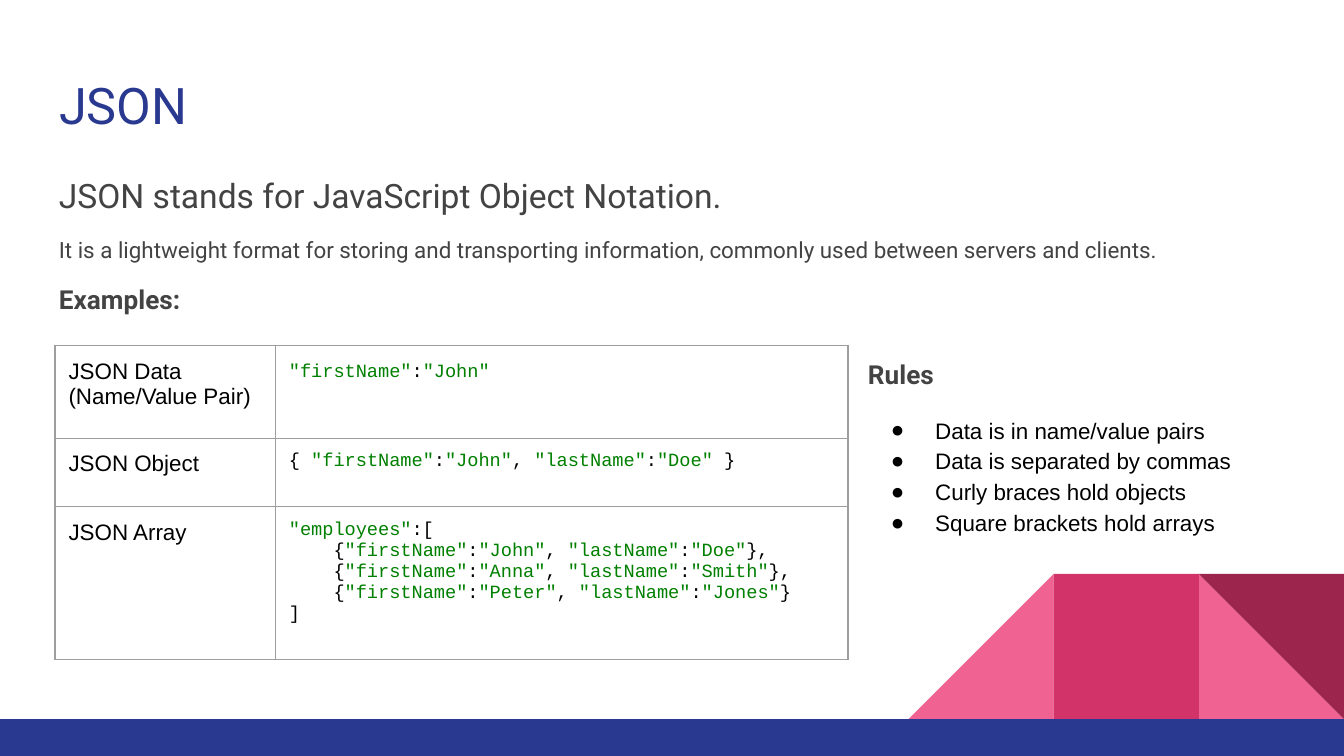
from lxml.etree import SubElement
from pptx import Presentation
from pptx.dml.color import RGBColor
from pptx.enum.shapes import MSO_SHAPE
from pptx.enum.text import MSO_ANCHOR, MSO_AUTO_SIZE, PP_ALIGN
from pptx.oxml import parse_xml
from pptx.oxml.ns import nsdecls, qn
from pptx.util import Inches, Pt

NAVY = RGBColor(0x2A, 0x39, 0x90)
PINK = RGBColor(0xF0, 0x62, 0x92)
ROSE = RGBColor(0xD2, 0x33, 0x69)
WINE = RGBColor(0x9C, 0x25, 0x4D)
GRAY = RGBColor(0x43, 0x43, 0x43)
LINE = RGBColor(0x9E, 0x9E, 0x9E)
GREEN = RGBColor(0x00, 0x80, 0x00)
BLACK = RGBColor(0, 0, 0)

SANS, PLAIN, MONO = "Roboto", "Arial", "Courier New"


class Deck:
    """Holds the style and the current slide."""

    def __init__(self, width):
        self.prs = Presentation()
        self.prs.slide_width = Inches(width)
        self.prs.slide_height = Inches(width) * 9 // 16
        self.slide = self.prs.slides.add_slide(self.prs.slide_layouts[5])
        self.pad = Inches(0.1)

    def frame(self, frame):
        values = dict(word_wrap=True, vertical_anchor=MSO_ANCHOR.TOP,
                      auto_size=MSO_AUTO_SIZE.NONE)
        for side in ("left", "right", "top", "bottom"):
            values["margin_" + side] = self.pad
        for name, value in values.items():
            setattr(frame, name, value)
        return frame

    def run(self, para, text, face, size, color, bold=False):
        run = para.add_run()
        run.text = text
        look = dict(name=face, size=Pt(size), bold=bold)
        for name, value in look.items():
            setattr(run.font, name, value)
        run.font.color.rgb = color

    def para(self, frame, first=False, **space):
        para = frame.paragraphs[0] if first else frame.add_paragraph()
        for name, value in space.items():
            setattr(para, name, value)
        return para

    def title(self, box, text):
        shape = self.slide.shapes.title
        names = ("left", "top", "width", "height")
        for name, value in zip(names, box):
            setattr(shape, name, Inches(value))
        para = self.para(self.frame(shape.text_frame), True,
                         alignment=PP_ALIGN.LEFT)
        self.run(para, text, SANS, 27, NAVY)

    def text(self, box):
        shape = self.slide.shapes.add_textbox(*map(Inches, box))
        return self.frame(shape.text_frame)

    def shape(self, kind, box, color, turn=0):
        shape = self.slide.shapes.add_shape(kind, *map(Inches, box))
        shape.shadow.inherit = False
        shape.fill.solid()
        shape.fill.fore_color.rgb = color
        shape.line.fill.background()
        shape.rotation = turn

    def bullet(self, para):
        props = para._p.get_or_add_pPr()
        props.set("marL", str(Inches(0.5)))
        props.set("indent", str(Inches(-0.33)))
        tint = SubElement(props, qn("a:buClr"))
        SubElement(tint, qn("a:srgbClr")).set("val", str(BLACK))
        for tag, key, value in (("buSzPts", "val", "1200"),
                                ("buFont", "typeface", PLAIN),
                                ("buChar", "char", "●")):
            SubElement(props, qn("a:" + tag)).set(key, value)

    def code(self, para, line):
        # Quoted strings are green, the rest is black
        for i, part in enumerate(line.split('"')):
            if i % 2:
                self.run(para, f'"{part}"', MONO, 10, GREEN)
            elif part:
                self.run(para, part, MONO, 10, BLACK)

    def border(self, cell):
        props = cell._tc.get_or_add_tcPr()
        for i, side in enumerate("LRTB"):
            props.insert(i, parse_xml(
                f'<a:ln{side} {nsdecls("a")} w="{Pt(0.75)}"><a:solidFill>'
                f'<a:srgbClr val="{LINE}"/></a:solidFill></a:ln{side}>'))

    def cell(self, cell):
        cell.fill.background()
        self.border(cell)
        for side in ("left", "right", "top", "bottom"):
            setattr(cell, "margin_" + side, self.pad)
        return cell.text_frame

    def table(self, left, top, cols, rows, data):
        box = map(Inches, (left, top, sum(cols), sum(rows)))
        table = self.slide.shapes.add_table(len(rows), len(cols), *box).table
        table.first_row = table.horz_banding = False
        for col, width in zip(table.columns, cols):
            col.width = Inches(width)
        for row, height, (label, lines, space) in zip(table.rows, rows, data):
            row.height = Inches(height)
            name, code = map(self.cell, row.cells)
            self.run(self.para(name, True), label, PLAIN, 12, BLACK)
            for i, line in enumerate(lines):
                self.code(self.para(code, i == 0, **space), line)


def main():
    deck = Deck(10)

    # Corner decoration and bottom bar
    side, top, mid = 1.08, 4.27, 7.84
    tri = MSO_SHAPE.RIGHT_TRIANGLE
    for kind, step, color, turn in (
            (tri, 1, PINK, 0), (tri, -1, PINK, 270),
            (MSO_SHAPE.RECTANGLE, 0, ROSE, 0), (tri, 1, WINE, 180)):
        deck.shape(kind, (mid + step * side, top, side, side), color, turn)
    deck.shape(MSO_SHAPE.RECTANGLE, (0, 5.35, 10, 0.28), NAVY)

    # Title and introduction
    deck.title((0.34, 0.45, 9.32, 0.66), "JSON")
    intro = deck.text((0.34, 1.22, 9.17, 1.28))
    for i, (text, size, bold) in enumerate((
            ("JSON stands for JavaScript Object Notation.", 18, False),
            ("It is a lightweight format for storing and transporting "
             "information, commonly used between servers and clients.",
             12, False),
            ("Examples:", 14, True))):
        para = deck.para(intro, i == 0, line_spacing=0.95,
                         space_before=Pt(12 if i else 0))
        deck.run(para, text, SANS, size, GRAY, bold)

    # Examples
    deck.table(0.41, 2.57, (1.64, 4.26), (0.69, 0.51, 1.14), (
        ("JSON Data (Name/Value Pair)", ['"firstName":"John"'],
         dict(line_spacing=1.15, space_after=Pt(12))),
        ("JSON Object", ['{ "firstName":"John", "lastName":"Doe" }'], {}),
        ("JSON Array", ['"employees":[',
                        '    {"firstName":"John", "lastName":"Doe"},',
                        '    {"firstName":"Anna", "lastName":"Smith"},',
                        '    {"firstName":"Peter", "lastName":"Jones"}',
                        ']'], {})))

    # Rules
    rules = deck.text((6.36, 2.57, 3.01, 2.01))
    deck.run(deck.para(rules, True), "Rules", SANS, 14, GRAY, True)
    for i, text in enumerate((
            "Data is in name/value pairs", "Data is separated by commas",
            "Curly braces hold objects", "Square brackets hold arrays")):
        para = deck.para(rules)
        deck.bullet(para)
        para.line_spacing = 1.15
        para.space_before = Pt(0 if i else 12)
        deck.run(para, text, PLAIN, 12, BLACK)

    deck.prs.save("out.pptx")


if __name__ == "__main__":
    main()
